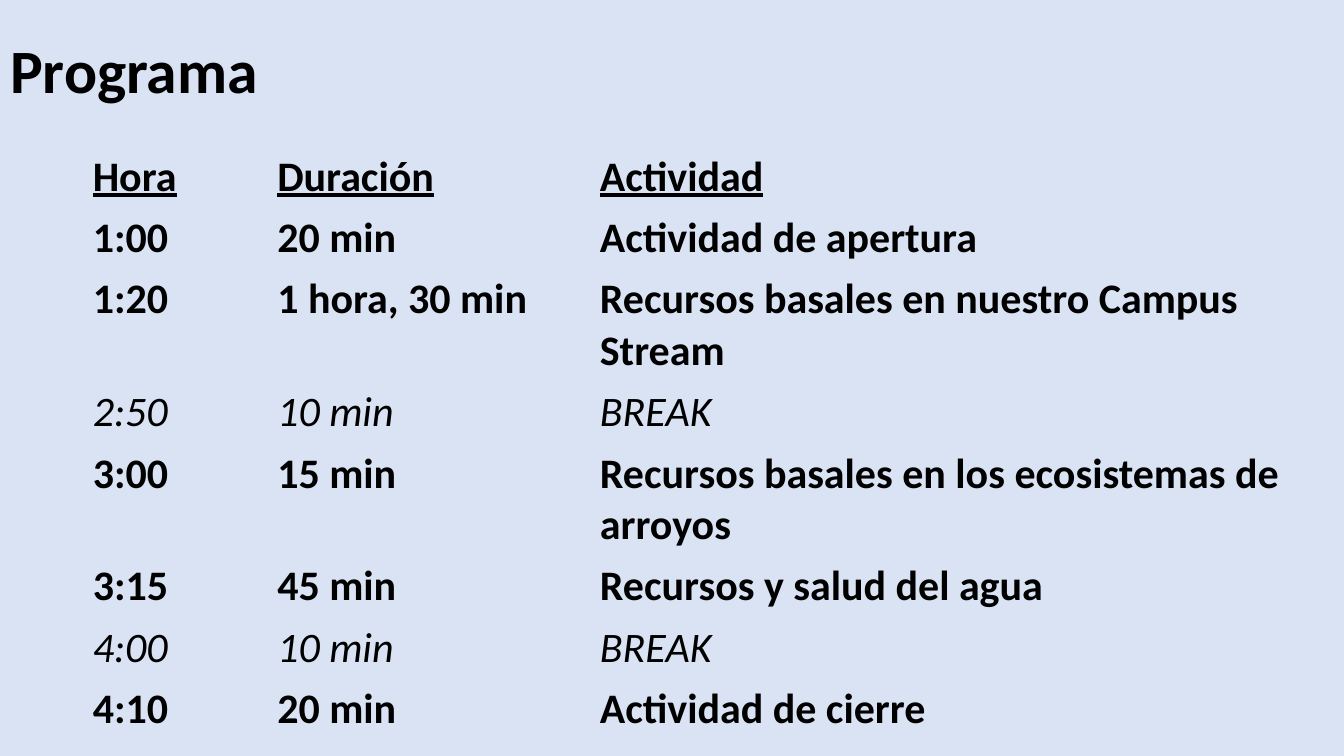
import pptx
import pptx.util
import pptx.dml.color
import pptx.enum.text
import pptx.oxml.ns

Inches = pptx.util.Inches
COLORS = {"background": "DAE3F3", "text": "000000"}
PLAIN_TABLE_STYLE = "{2D5ABB26-0587-4C30-8999-92F81FD0307C}"
COLUMN_WIDTHS = (1.83, 3.2, 7.1)
ROW_HEIGHT = 0.41

FORMATS = {
    "title": {"size": pptx.util.Pt(44), "bold": True},
    "header": {"size": pptx.util.Pt(30), "bold": True, "underline": True},
    "activity": {"size": pptx.util.Pt(30), "bold": True},
    "break": {"size": pptx.util.Pt(30), "bold": False, "italic": True},
}

PROGRAM = [
    ("header", "Hora", "Duración", "Actividad"),
    ("activity", "1:00", "20 min", "Actividad de apertura"),
    ("activity", "1:20", "1 hora, 30 min", "Recursos basales en nuestro Campus Stream"),
    ("break", "2:50", "10 min", "BREAK"),
    ("activity", "3:00", "15 min", "Recursos basales en los ecosistemas de arroyos"),
    ("activity", "3:15", "45 min", "Recursos y salud del agua"),
    ("break", "4:00", "10 min", "BREAK"),
    ("activity", "4:10", "20 min", "Actividad de cierre"),
]


def rgb(name):
    """Return the named colour."""
    return pptx.dml.color.RGBColor.from_string(COLORS[name])


def add_text(p, text, style):
    """Add a run of text in the given style."""
    r = p.add_run()
    r.text = text
    r.font.name = "Calibri"
    r.font.color.rgb = rgb("text")
    for key, value in FORMATS[style].items():
        setattr(r.font, key, value)


def place_title(s, text, left, top, width, height):
    """Place the slide title in its box."""
    sp = s.shapes.title
    box = {"left": left, "top": top, "width": width, "height": height}
    for key, value in box.items():
        setattr(sp, key, Inches(value))
    tf = sp.text_frame
    tf.word_wrap = True
    tf.auto_size = pptx.enum.text.MSO_AUTO_SIZE.NONE
    tf.vertical_anchor = pptx.enum.text.MSO_ANCHOR.MIDDLE
    p = tf.paragraphs[0]
    p.alignment = pptx.enum.text.PP_ALIGN.LEFT
    p.line_spacing = 0.9
    add_text(p, text, "title")


def place_program(s, program, left, top):
    """Place the unruled program table with its corner at left, top."""
    frame = s.shapes.add_table(
        len(program), len(COLUMN_WIDTHS), Inches(left), Inches(top),
        Inches(sum(COLUMN_WIDTHS)), Inches(ROW_HEIGHT * len(program)))
    table = frame.table
    table.first_row = table.horz_banding = False
    style_id = frame._element.find(".//" + pptx.oxml.ns.qn("a:tableStyleId"))
    style_id.text = PLAIN_TABLE_STYLE
    for column, width in zip(table.columns, COLUMN_WIDTHS):
        column.width = Inches(width)
    for row, (style, *texts) in zip(table.rows, program):
        row.height = Inches(ROW_HEIGHT)
        for cell, text in zip(row.cells, texts):
            cell.fill.background()
            add_text(cell.text_frame.paragraphs[0], text, style)


def main():
    """Build and save the program slide."""
    prs = pptx.Presentation()
    prs.slide_width, prs.slide_height = Inches(13.33), Inches(7.5)
    s = prs.slides.add_slide(prs.slide_layouts[5])
    s.background.fill.solid()
    s.background.fill.fore_color.rgb = rgb("background")
    place_title(s, "Programa", 0, 0, 11.5, 1.45)
    place_program(s, PROGRAM, 0.82, 1.45)
    prs.save("out.pptx")


if __name__ == "__main__":
    main()
